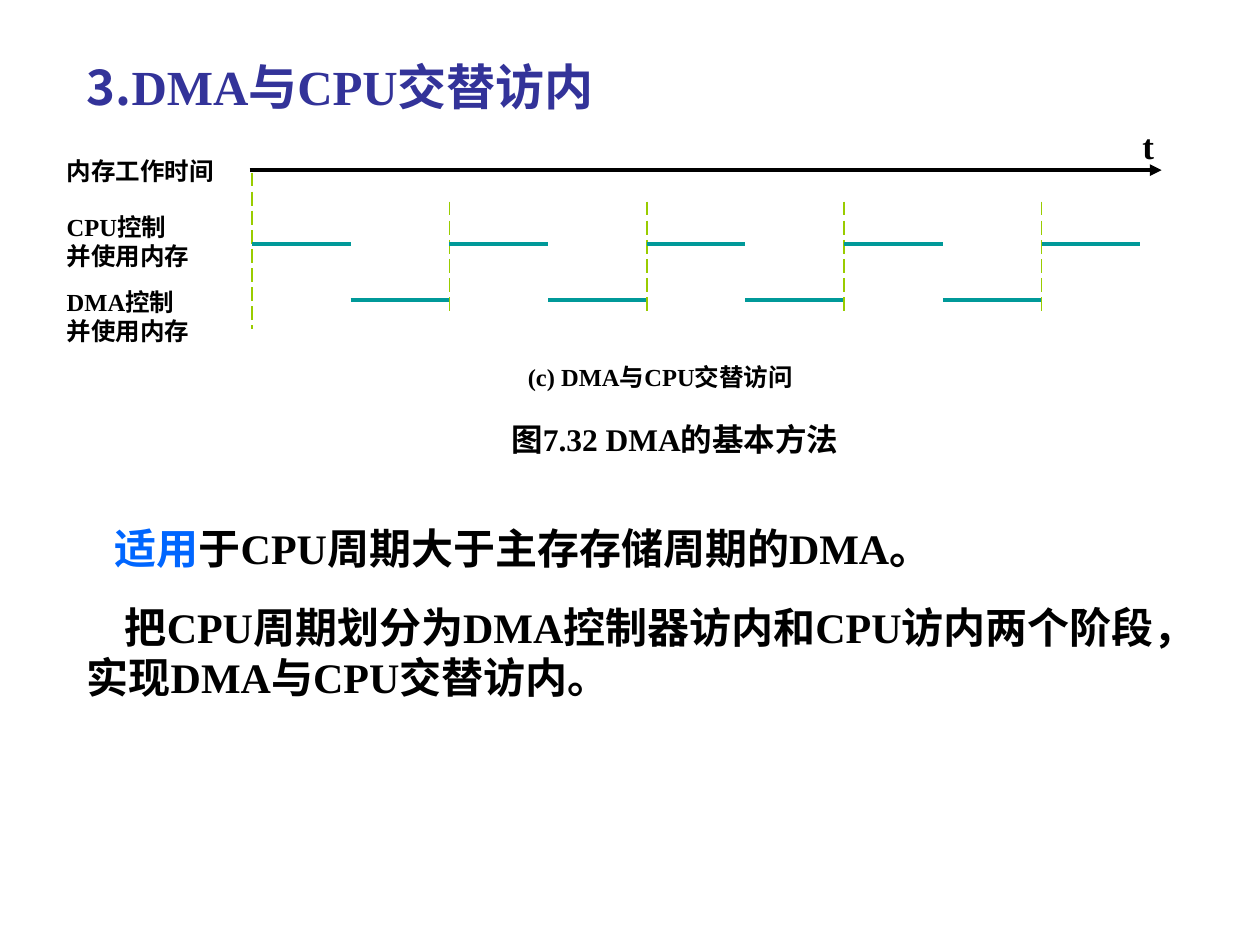
from lxml import etree
from pptx import Presentation
from pptx.dml.color import RGBColor
from pptx.enum import dml, shapes, text
from pptx.oxml import ns
from pptx.util import Pt

BLACK = RGBColor(0, 0, 0)
NAVY = RGBColor(0x33, 0x33, 0x99)
BLUE = RGBColor(0, 0x66, 0xFF)
TEAL = RGBColor(0, 0x99, 0x99)
LIME = RGBColor(0x99, 0xCC, 0)
SERIF = "Times New Roman"
SANS = "Noto Sans CJK SC"
START, STEP = 144, 56.4
BUSY, STEAL = 139.7, 171.4


def add_line(slide, x1, y1, x2, y2, color, width):
    """Draw a straight line without a shadow."""
    line = slide.shapes.add_connector(
        shapes.MSO_CONNECTOR.STRAIGHT, Pt(x1), Pt(y1), Pt(x2), Pt(y2))
    line.line.color.rgb = color
    line.line.width = Pt(width)
    etree.SubElement(line._element.spPr, ns.qn("a:effectLst"))
    return line


def add_axis(slide):
    """Draw the time axis with its arrowhead."""
    axis = add_line(slide, 142.6, 97.2, 663.8, 97.2, BLACK, 2.25)
    etree.SubElement(axis.line._get_or_add_ln(), ns.qn("a:tailEnd"), type="triangle")


def add_dash(slide, x, top, end):
    """Draw a dashed line that marks the start of a cycle."""
    mark = add_line(slide, x, top, x, end, LIME, 1)
    mark.line.dash_style = dml.MSO_LINE.LONG_DASH


def add_text(slide, box, size, paras, color=BLACK, indent=0, align=text.PP_ALIGN.JUSTIFY):
    """Write paragraphs made of (words, font, colour) runs."""
    frame = slide.shapes.add_textbox(*map(Pt, box)).text_frame
    frame.word_wrap = True
    frame.margin_top = Pt(3.6 + 0.13 * size)
    for i, runs in enumerate(paras):
        para = frame.add_paragraph() if i else frame.paragraphs[0]
        para.alignment = align
        para.line_spacing = Pt(1.18 * size)
        if indent and not i:
            para._p.get_or_add_pPr().set("indent", str(Pt(indent)))
        para.font.size, para.font.bold = Pt(size), True
        for words, face, tint in runs:
            run = para.add_run()
            run.text = words
            run.font.size, run.font.bold = Pt(size), True
            run.font.name = face
            run.font.color.rgb = tint or color
            etree.SubElement(run.font._element, ns.qn("a:ea"), typeface=SANS)


def add_label(slide, box, size, *rows):
    """Write plain rows in the serif font."""
    add_text(slide, box, size, [[(row, SERIF, None)] for row in rows])


def add_chart(slide):
    """Draw the alternating use of memory along the time axis."""
    add_axis(slide)
    add_dash(slide, START, 98.6, 187.9)
    for i in range(9):
        x = START + i * STEP
        y = STEAL if i % 2 else BUSY
        if i and i % 2 == 0:
            add_dash(slide, x, 115.2, 180)
        add_line(slide, x, y, x + STEP, y, TEAL, 2.25)
    add_label(slide, (31, 84.2, 131, 15.8), 14, "内存工作时间")
    add_label(slide, (31, 115.9, 93, 37.4), 14, "CPU控制", "并使用内存")
    add_label(slide, (31, 159.1, 93, 36.7), 14, "DMA控制", "并使用内存")
    add_label(slide, (645.8, 65.5, 74.2, 32.4), 20, "t")
    add_label(slide, (294.5, 201.6, 282.2, 24.5), 14, "(c) DMA与CPU交替访问")
    add_label(slide, (285.1, 234.7, 319.7, 24.5), 18, "图7.32 DMA的基本方法")


def main():
    """Build and save the slide."""
    deck = Presentation()
    deck.slide_width, deck.slide_height = Pt(720), Pt(540)
    slide = deck.slides.add_slide(deck.slide_layouts[6])
    left = text.PP_ALIGN.LEFT
    add_text(slide, (42.5, 25.9, 345.6, 41), 28,
             [[("3.", SANS, None), ("DMA与CPU", SERIF, None), ("交替访内", SANS, None)]],
             NAVY, align=left)
    add_chart(slide)
    add_text(slide, (0, 292.3, 720, 64.8), 24,
             [[("适用", SERIF, BLUE), ("于CPU周期大于主存存储周期的DMA。", SERIF, None)]],
             indent=58.5)
    add_text(slide, (42.5, 337.7, 677.5, 64.8), 24,
             [[("把", SANS, None),
               ("CPU周期划分为DMA控制器访内和CPU访内两个阶段，", SERIF, None)],
              [("实现DMA与CPU交替", SERIF, None), ("访内。", SANS, None)]],
             indent=21.7, align=left)
    deck.save("out.pptx")


if __name__ == "__main__":
    main()
